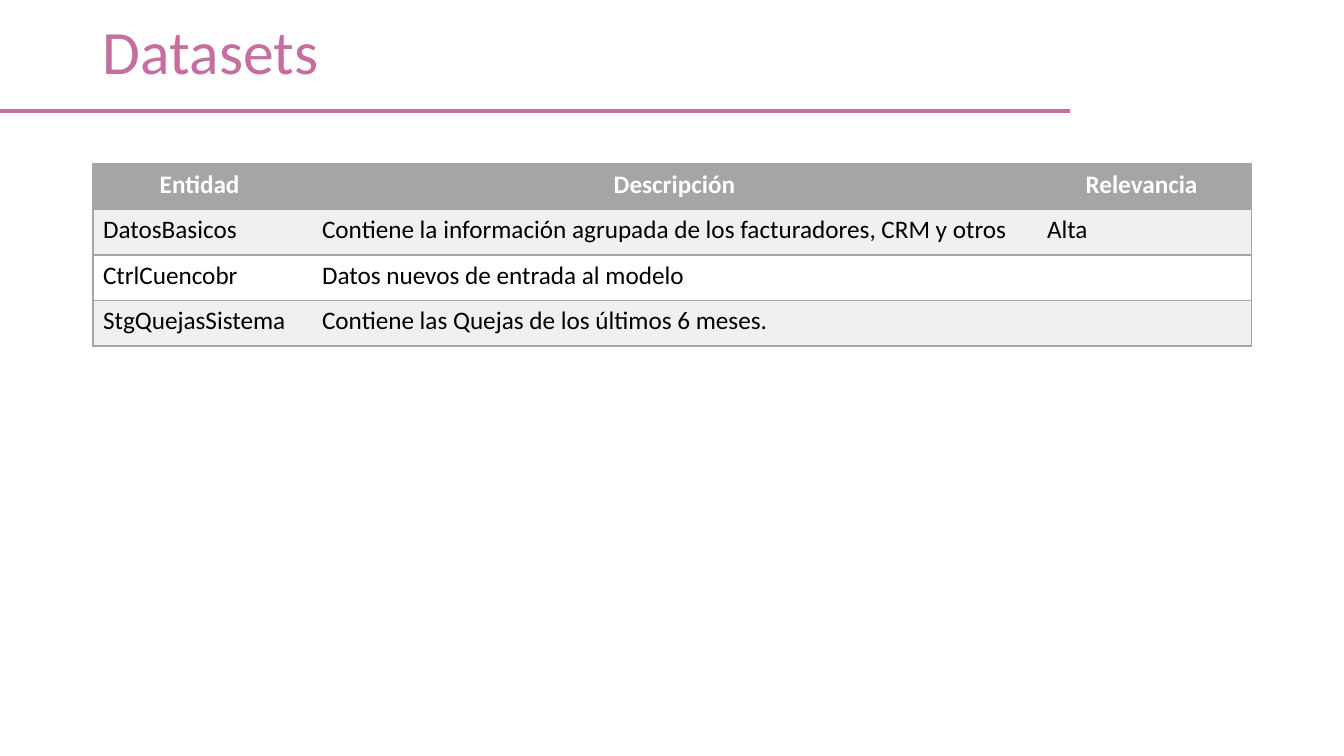
from lxml.etree import SubElement
from pptx import Presentation
from pptx.dml.color import RGBColor
from pptx.enum.shapes import MSO_CONNECTOR
from pptx.enum.text import MSO_ANCHOR, PP_ALIGN
from pptx.oxml.ns import qn
from pptx.util import Emu, Pt

PIXELS_PER_INCH = 100.8
COLORS = {
    "accent": "C56FA1",
    "header": "A5A5A5",
    "band": "F0F0F0",
    "plain": "FFFFFF",
    "text": "000000",
}


def px(length):
    return Emu(round(length * 914400 / PIXELS_PER_INCH))


def color(name):
    return RGBColor.from_string(COLORS[name])


def write(frame, text, size=18, ink="text", bold=False, align=PP_ALIGN.LEFT, spacing=1.0):
    para = frame.paragraphs[0]
    para.alignment = align
    para.line_spacing = spacing
    para.font.size = Pt(size)
    if text:
        span = para.add_run()
        span.text = text
        span.font.name = "Calibri"
        span.font.size = Pt(size)
        span.font.bold = bold
        span.font.color.rgb = color(ink)


class SlideBuilder:
    def __init__(self, deck):
        self.page = deck.slides.add_slide(deck.slide_layouts[6])

    def title(self, text, left, top, width, height):
        box = self.page.shapes.add_textbox(px(left), px(top), px(width), px(height))
        frame = box.text_frame
        frame.word_wrap = True
        frame.vertical_anchor = MSO_ANCHOR.MIDDLE
        write(frame, text, size=44, ink="accent", spacing=0.9)

    def rule(self, left, right, top, weight):
        line = self.page.shapes.add_connector(
            MSO_CONNECTOR.STRAIGHT, px(left), px(top), px(right), px(top)
        )
        line.line.color.rgb = color("accent")
        line.line.width = Pt(weight)
        SubElement(line._element.spPr, qn("a:effectLst"))

    def borders(self, cell, visible):
        properties = cell._tc.get_or_add_tcPr()
        for side in "LRTB":
            edge = SubElement(properties, qn(f"a:ln{side}"), w=str(Pt(1)))
            if side in visible:
                fill = SubElement(edge, qn("a:solidFill"))
                SubElement(fill, qn("a:srgbClr"), val=COLORS["header"])
            else:
                SubElement(edge, qn("a:noFill"))

    def table(self, rows, left, top, widths, height):
        shape = self.page.shapes.add_table(
            len(rows), len(widths), px(left), px(top), px(sum(widths)), px(height)
        )
        grid = shape.table
        grid.horz_banding = False
        for column, width in zip(grid.columns, widths):
            column.width = px(width)
        for row_index, row in enumerate(rows):
            grid.rows[row_index].height = px(height / len(rows))
            for column_index, text in enumerate(row):
                cell = grid.cell(row_index, column_index)
                visible = "TB"
                if column_index == 0:
                    visible += "L"
                if column_index == len(widths) - 1:
                    visible += "R"
                self.borders(cell, visible)
                cell.fill.solid()
                if row_index == 0:
                    cell.fill.fore_color.rgb = color("header")
                    write(cell.text_frame, text, ink="plain", bold=True, align=PP_ALIGN.CENTER)
                else:
                    cell.fill.fore_color.rgb = color("band" if row_index % 2 else "plain")
                    write(cell.text_frame, text)


def main():
    deck = Presentation()
    deck.slide_width = px(1344)
    deck.slide_height = px(756)
    slide = SlideBuilder(deck)
    slide.title("Datasets", 93, 15, 1159, 79)
    slide.table(
        [
            ("Entidad ", "Descripción", "Relevancia "),
            (
                "DatosBasicos",
                "Contiene la información agrupada de los facturadores, CRM y otros",
                "Alta",
            ),
            ("CtrlCuencobr", "Datos nuevos de entrada al modelo", ""),
            ("StgQuejasSistema", "Contiene las Quejas de los últimos 6 meses.", ""),
        ],
        left=93,
        top=164,
        widths=(219, 725, 215),
        height=182,
    )
    slide.rule(0, 1070, 111, weight=3)
    deck.save("out.pptx")


if __name__ == "__main__":
    main()
